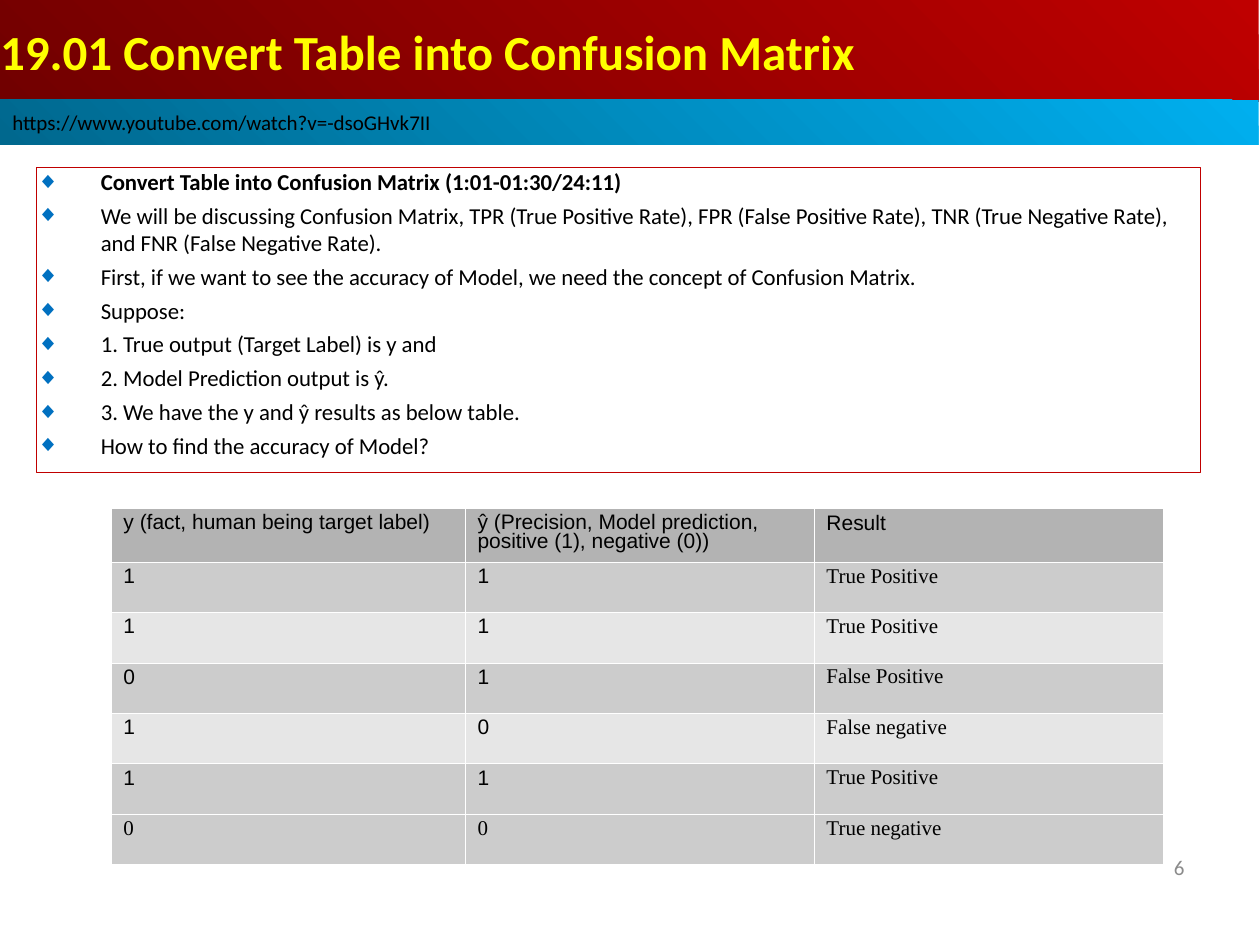
from lxml import etree
from pptx import Presentation
from pptx.dml.color import RGBColor
from pptx.enum.shapes import MSO_SHAPE
from pptx.enum.text import MSO_ANCHOR, MSO_AUTO_SIZE, PP_ALIGN
from pptx.oxml.ns import qn
from pptx.util import Inches, Pt

RECT = MSO_SHAPE.RECTANGLE
TOP, MID = MSO_ANCHOR.TOP, MSO_ANCHOR.MIDDLE
LEFT, RIGHT = PP_ALIGN.LEFT, PP_ALIGN.RIGHT
FIXED = MSO_AUTO_SIZE.NONE

TITLE = "19.01 Convert Table into Confusion Matrix"
LINK = "https://www.youtube.com/watch?v=-dsoGHvk7II"
PAGE = "6"
POINTS = [
    "Convert Table into Confusion Matrix (1:01-01:30/24:11)",
    "We will be discussing Confusion Matrix, TPR (True Positive Rate), FPR (False Positive Rate), "
    "TNR (True Negative Rate), and FNR (False Negative Rate).",
    "First, if we want to see the accuracy of Model, we need the concept of Confusion Matrix.",
    "Suppose:",
    "1. True output (Target Label) is y and",
    "2. Model Prediction output is ŷ.",
    "3. We have the y and ŷ results as below table.",
    "How to find the accuracy of Model?",
]
ROWS = [
    ("y (fact, human being target label)",
     "ŷ (Precision, Model prediction, positive (1), negative (0))", "Result"),
    ("1", "1", "True Positive"),
    ("1", "1", "True Positive"),
    ("0", "1", "False Positive"),
    ("1", "0", "False negative"),
    ("1", "1", "True Positive"),
    ("0", "0", "True negative"),
]
WIDTHS = [2.81, 2.77, 2.77]
HEAD_H, ROW_H = 0.43, 0.4

THEME = {
    "main": "Calibri", "grid": "Arial", "serif": "Times New Roman",
    "title": 28, "body": 13, "small": 12,
    "ink": "000000", "gold": "FFFF00", "gray": "8B8B8B", "white": "FFFFFF",
    "frame": "C00000", "mark": "0070C0",
    "red": ("BF0000", "710000"), "blue": ("00AFEF", "00688E"),
    "head": "B3B3B3", "dark": "CCCCCC", "light": "E6E6E6",
}


def color(key):
    return RGBColor.from_string(THEME[key])


def place(shape, left, top, width, height):
    shape.left, shape.top = Inches(left), Inches(top)
    shape.width, shape.height = Inches(width), Inches(height)


def blend(shape, key):
    shape.fill.gradient()
    shape.fill.gradient_angle = 225
    for stop, code in zip(shape.fill.gradient_stops, THEME[key]):
        stop.color.rgb = RGBColor.from_string(code)
    shape.line.fill.background()


def setup(frame, anchor, pad_x=0.1, pad_y=0.05):
    frame.word_wrap = True
    frame.auto_size = FIXED
    frame.vertical_anchor = anchor
    frame.margin_left = frame.margin_right = Inches(pad_x)
    frame.margin_top = frame.margin_bottom = Inches(pad_y)


def write(para, text, size, ink="ink", face="main", bold=False, align=LEFT):
    para.text = text
    para.alignment = align
    font = para.font
    font.name, font.size, font.bold = THEME[face], Pt(THEME[size]), bold
    font.color.rgb = color(ink)


def bullet(para):
    props = para._p.get_or_add_pPr()
    props.set("marL", str(Inches(0.51)))
    props.set("indent", str(-Inches(0.51)))
    tint = etree.SubElement(props, qn("a:buClr"))
    etree.SubElement(tint, qn("a:srgbClr"), val=THEME["mark"])
    etree.SubElement(props, qn("a:buChar"), char="◆")


def border(cell):
    props = cell._tc.get_or_add_tcPr()
    for i, side in enumerate("LRTB"):
        line = etree.Element(qn(f"a:ln{side}"), w=str(Pt(0.06)))
        fill = etree.SubElement(line, qn("a:solidFill"))
        etree.SubElement(fill, qn("a:srgbClr"), val=THEME["white"])
        props.insert(i, line)


def add_body(body):
    place(body, 0.29, 1.33, 9.24, 2.42)
    body.line.color.rgb = color("frame")
    body.line.width = Pt(0.75)
    frame = body.text_frame
    setup(frame, TOP, 0, 0)
    for i, text in enumerate(POINTS):
        para = frame.add_paragraph() if i else frame.paragraphs[0]
        bullet(para)
        para.space_before = Pt(3.3 if i else 0)
        para.space_after = Pt(0.4)
        write(para, text, "body", bold=i == 0)


def add_grid(slide):
    height = HEAD_H + ROW_H * (len(ROWS) - 1)
    table = slide.shapes.add_table(
        len(ROWS), len(WIDTHS), Inches(0.88), Inches(4.03),
        Inches(sum(WIDTHS)), Inches(height)).table
    table.first_row = table.horz_banding = False
    for col, width in zip(table.columns, WIDTHS):
        col.width = Inches(width)
    last = len(ROWS) - 1
    for r, row in enumerate(ROWS):
        table.rows[r].height = Inches(ROW_H if r else HEAD_H)
        shade = "head" if r == 0 else "dark" if r % 2 or r == last else "light"
        for c, text in enumerate(row):
            cell = table.cell(r, c)
            border(cell)
            cell.fill.solid()
            cell.fill.fore_color.rgb = color(shade)
            para = cell.text_frame.paragraphs[0]
            serif = r == last or (r and c == 2)
            para.line_spacing = 0.8 if serif else 0.87 if c == 2 else 0.81
            para.space_before = Pt(0)
            write(para, text, "small", face="serif" if serif else "grid")


def main():
    deck = Presentation()
    deck.slide_width, deck.slide_height = Inches(10), Inches(7.5)
    slide = deck.slides.add_slide(deck.slide_layouts[1])

    title = slide.shapes.title
    place(title, 0, 0, 9.99, 0.81)
    blend(title, "red")
    setup(title.text_frame, MID, 0, 0)
    write(title.text_frame.paragraphs[0], TITLE, "title", "gold", bold=True)

    add_body(slide.placeholders[1])

    band = slide.shapes.add_shape(RECT, 0, 0, 0, 0)
    place(band, 0, 0.79, 9.99, 0.36)
    band.shadow.inherit = False
    blend(band, "blue")
    setup(band.text_frame, MID)
    write(band.text_frame.paragraphs[0], LINK, "small")

    page = slide.shapes.add_textbox(0, 0, 0, 0)
    place(page, 7.2, 6.7, 2.3, 0.37)
    setup(page.text_frame, MID)
    write(page.text_frame.paragraphs[0], PAGE, "small", "gray", align=RIGHT)

    add_grid(slide)
    deck.save("out.pptx")


if __name__ == "__main__":
    main()
